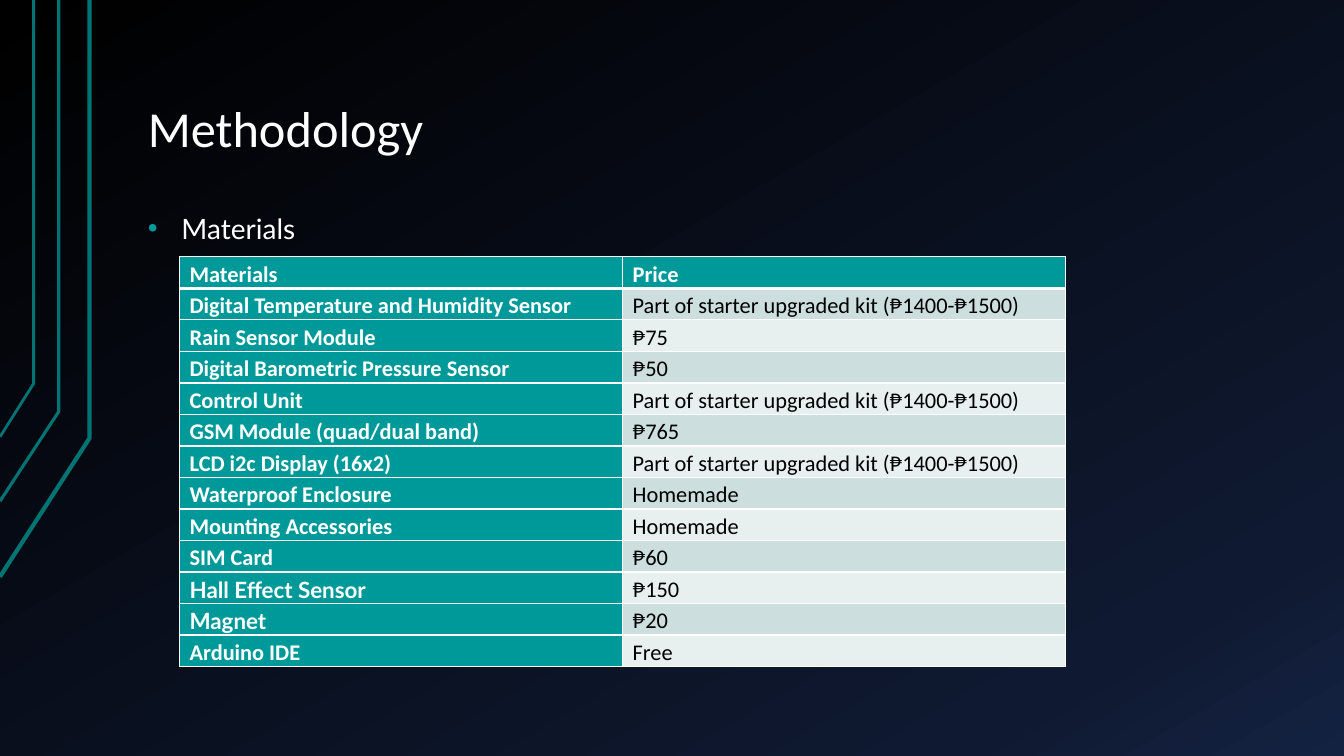
import pptx
import pptx.util
import pptx.oxml
import pptx.oxml.ns
import pptx.dml.color
import pptx.enum.text

Pt = pptx.util.Pt
RGB = pptx.dml.color.RGBColor.from_string
ALIGN = pptx.enum.text.PP_ALIGN
ANCHOR = pptx.enum.text.MSO_ANCHOR
NS = pptx.oxml.ns.nsdecls("a", "p")

theme = {
    "white": "FFFFFF", "black": "000000", "teal": "009999", "rail": "007373",
    "bands": ["E7EFEF", "CCDEDE"],
    "sky": [(0, "000000"), (85, "0F1931"), (100, "142242")],
    "main": "Calibri", "alt": "Lato",
    "title": 36, "body": 20, "cell": 16,
}


def put(item, **vals):
    for name, val in vals.items():
        setattr(item, name, val)


def write(para, text, face, size, color, bold=False, **form):
    put(para, **form)
    run = para.add_run()
    run.text = text
    put(run.font, name=face, size=Pt(size), bold=bold)
    run.font.color.rgb = RGB(theme[color])


deck = pptx.Presentation()
put(deck, slide_width=Pt(960), slide_height=Pt(540))
slide = deck.slides.add_slide(deck.slide_layouts[1])

stops = "".join(
    f'<a:gs pos="{pos * 1000}"><a:srgbClr val="{tone}"/></a:gs>'
    for pos, tone in theme["sky"])
slide.element.cSld.insert(0, pptx.oxml.parse_xml(
    f'<p:bg {NS}><p:bgPr><a:gradFill rotWithShape="1"><a:gsLst>{stops}</a:gsLst>'
    '<a:lin ang="3600000" scaled="0"/></a:gradFill><a:effectLst/></p:bgPr></p:bg>'))

rails = [
    (3, [(0, 411.5), (63.5, 313), (63.5, 0)]),
    (2.25, [(0, 358), (41.75, 293.5), (41.75, 0)]),
    (2, [(0, 312), (24.5, 274.5), (24.5, 0)]),
]
for width, points in rails:
    path = slide.shapes.build_freeform(*points[0], scale=Pt(1))
    path.add_line_segments(points[1:], close=False)
    rail = path.convert_to_shape()
    rail.shadow.inherit = False
    rail.fill.background()
    rail.line.width = Pt(width)
    rail.line.color.rgb = RGB(theme["rail"])

title, body = slide.placeholders
for box, top, high, anchor in [(title, 21.6, 96.5, ANCHOR.BOTTOM),
                               (body, 134, 351.5, ANCHOR.TOP)]:
    put(box, left=Pt(96), top=Pt(top), width=Pt(816), height=Pt(high))
    put(box.text_frame, vertical_anchor=anchor, word_wrap=True,
        auto_size=pptx.enum.text.MSO_AUTO_SIZE.NONE,
        margin_left=Pt(9.6), margin_right=Pt(9.6),
        margin_top=Pt(4.8), margin_bottom=Pt(4.8))

write(title.text_frame.paragraphs[0], "Methodology", theme["main"], theme["title"],
      "white", alignment=ALIGN.LEFT, line_spacing=0.9, space_before=Pt(0))

item = body.text_frame.paragraphs[0]
props = item._p.get_or_add_pPr()
props.set("marL", str(Pt(24)))
props.set("indent", str(Pt(-24)))
for mark in [f'<a:buClr {NS}><a:srgbClr val="{theme["teal"]}"/></a:buClr>',
             f'<a:buFont {NS} typeface="Arial"/>',
             f'<a:buChar {NS} char="•"/>']:
    props.append(pptx.oxml.parse_xml(mark))
write(item, "Materials", theme["alt"], theme["body"], "white",
      alignment=ALIGN.JUSTIFY, line_spacing=1.5, space_before=Pt(0))

kit = "Part of starter upgraded kit (₱1400-₱1500)"
rows = [
    ("Materials", "Price"),
    ("Digital Temperature and Humidity Sensor", kit),
    ("Rain Sensor Module", "₱75"),
    ("Digital Barometric Pressure Sensor", "₱50"),
    ("Control Unit", kit),
    ("GSM Module (quad/dual band)", "₱765"),
    ("LCD i2c Display (16x2)", kit),
    ("Waterproof Enclosure", "Homemade"),
    ("Mounting Accessories", "Homemade"),
    ("SIM Card", "₱60"),
    ("Hall Effect Sensor", "₱150"),
    ("Magnet", "₱20"),
    ("Arduino IDE", "Free"),
]
wide, high = 316.5, 21.25
table = slide.shapes.add_table(len(rows), 2, Pt(128.25), Pt(183.5),
                               Pt(2 * wide), Pt(high * len(rows))).table
for col in table.columns:
    col.width = Pt(wide)

for i, row in enumerate(rows):
    table.rows[i].height = Pt(high)
    for j, text in enumerate(row):
        cell = table.cell(i, j)
        head = i == 0 or j == 0
        put(cell, margin_left=Pt(7.2), margin_right=Pt(7.2),
            margin_top=0, margin_bottom=0)
        cell.fill.solid()
        cell.fill.fore_color.rgb = RGB(theme["teal"] if head else theme["bands"][i % 2])
        face = "alt" if text in ("Hall Effect Sensor", "Magnet") else "main"
        write(cell.text_frame.paragraphs[0], text, theme[face], theme["cell"],
              "white" if head else "black", head,
              alignment=ALIGN.JUSTIFY, line_spacing=1.15, space_after=Pt(8))
        for k, side in enumerate("LRTB"):
            thick = (side, i) in (("B", 0), ("T", 1))
            cell._tc.get_or_add_tcPr().insert(k, pptx.oxml.parse_xml(
                f'<a:ln{side} {NS} w="{Pt(3 if thick else 1)}"><a:solidFill>'
                f'<a:srgbClr val="{theme["white"]}"/></a:solidFill></a:ln{side}>'))

deck.save("out.pptx")
